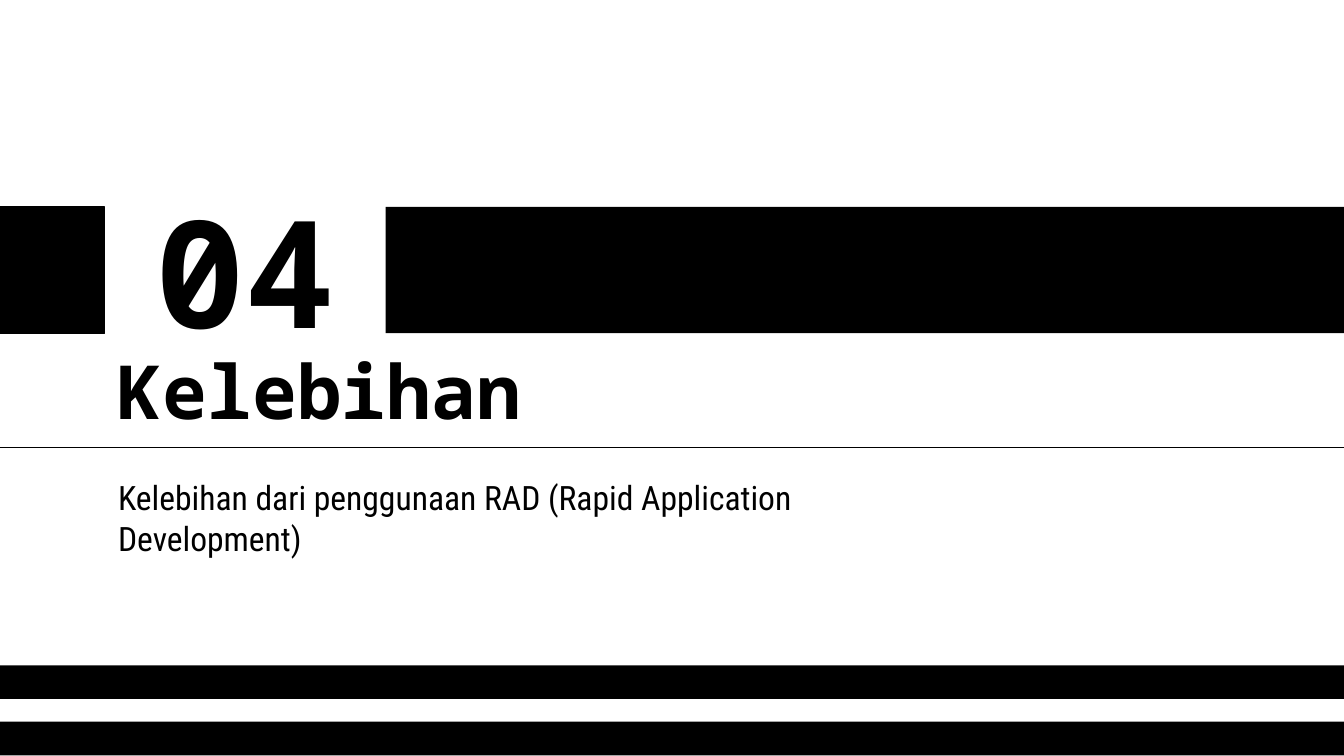
from pptx import Presentation
from pptx.dml.color import RGBColor
from pptx.enum.shapes import MSO_CONNECTOR, MSO_SHAPE
from pptx.enum.text import MSO_ANCHOR, PP_ALIGN
from pptx.oxml.ns import qn
from pptx.util import Inches, Pt
from lxml.etree import SubElement


def color(value):
    return RGBColor.from_string(value)


BLACK = "000000"
WHITE = "FFFFFF"

# Widescreen page, 16:9
deck = Presentation()
deck.slide_width = Inches(10)
deck.slide_height = Inches(10 * 9 / 16)
page = deck.slides.add_slide(deck.slide_layouts[6])
page.background.fill.solid()
page.background.fill.fore_color.rgb = color(WHITE)

# Black bars: two at the foot, two beside the section number
bars = [
    (0, 5.37, 10, 0.25, False),
    (0, 4.95, 10, 0.25, False),
    (0, 1.54, 0.78, 0.94, True),
    (2.87, 1.54, 7.13, 0.94, False),
]
for left, top, width, height, outlined in bars:
    bar = page.shapes.add_shape(
        MSO_SHAPE.RECTANGLE, Inches(left), Inches(top), Inches(width), Inches(height)
    )
    bar.shadow.inherit = False
    bar.fill.solid()
    bar.fill.fore_color.rgb = color(BLACK)
    if outlined:
        bar.line.color.rgb = color(BLACK)
        bar.line.width = Pt(0.75)
    else:
        bar.line.fill.background()

# Title, section number and subtitle
texts = [
    ("Kelebihan", (0.78, 2.41, 7.9, 0.92), MSO_ANCHOR.BOTTOM, PP_ALIGN.LEFT, None,
     {"name": "Noto Sans Mono", "size": Pt(40), "bold": True}),
    ("04", (0.78, 1.44, 2.09, 1.12), MSO_ANCHOR.MIDDLE, PP_ALIGN.CENTER, None,
     {"name": "Noto Sans Mono", "size": Pt(80), "bold": True}),
    ("Kelebihan dari penggunaan RAD (Rapid Application Development)",
     (0.78, 3.56, 5.88, 0.58), MSO_ANCHOR.MIDDLE, PP_ALIGN.LEFT, WHITE,
     {"name": "Roboto Condensed", "size": Pt(18), "bold": False}),
]
for text, place, anchor, alignment, fill, font_format in texts:
    box = page.shapes.add_textbox(*[Inches(length) for length in place])
    if fill:
        box.fill.solid()
        box.fill.fore_color.rgb = color(fill)
    frame = box.text_frame
    frame.word_wrap = True
    frame.vertical_anchor = anchor
    for side in ("left", "top", "right", "bottom"):
        setattr(frame, f"margin_{side}", Inches(0.1))
    para = frame.paragraphs[0]
    para.alignment = alignment
    span = para.add_run()
    span.text = text
    span.font.color.rgb = color(BLACK)
    for name, value in font_format.items():
        setattr(span.font, name, value)

# Rule under the title
rule = page.shapes.add_connector(
    MSO_CONNECTOR.STRAIGHT, Inches(0), Inches(3.33), Inches(10.04), Inches(3.33)
)
rule.line.color.rgb = color(BLACK)
rule.line.width = Pt(0.75)
SubElement(rule._element.spPr, qn("a:effectLst"))

deck.save("out.pptx")
